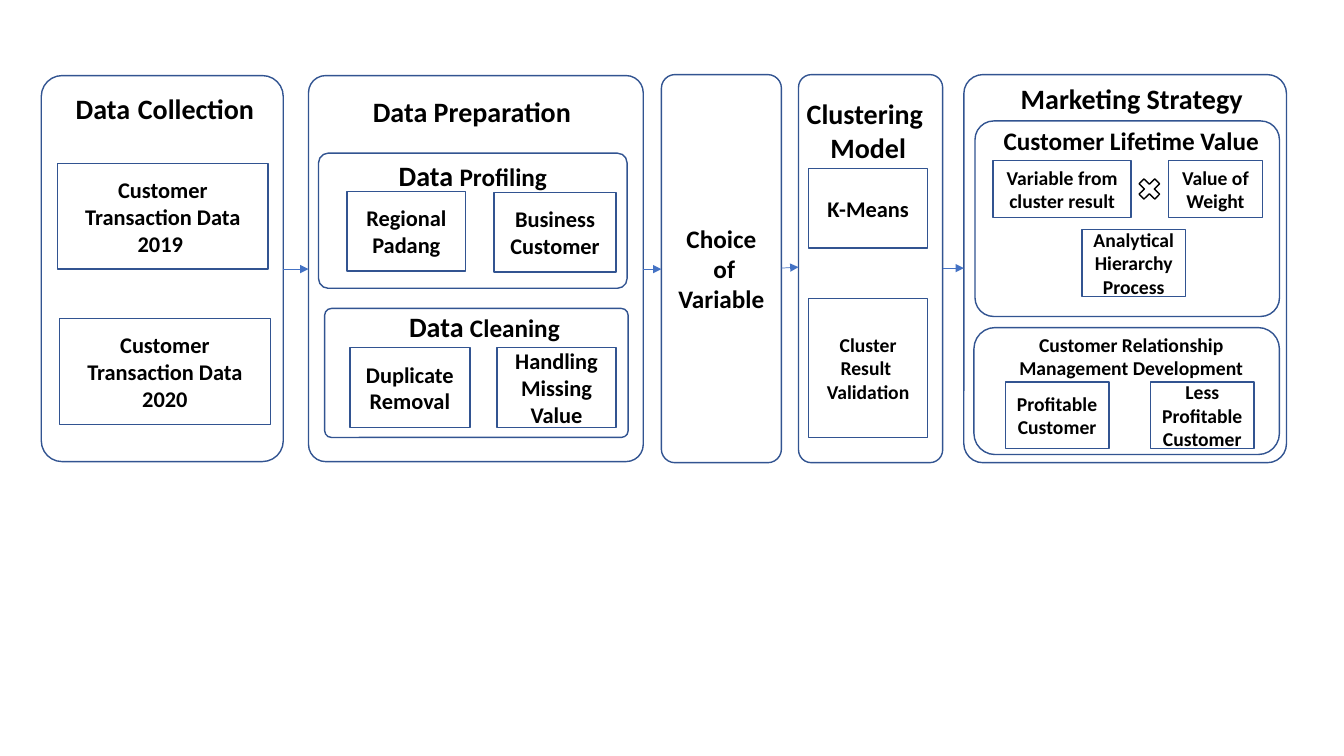
"""Build the customer segmentation research framework slide."""
from pptx import Presentation
from pptx.dml.color import RGBColor
from pptx.enum.shapes import MSO_CONNECTOR as CONN, MSO_SHAPE as SHAPE
from pptx.enum.text import MSO_ANCHOR as ANCHOR, PP_ALIGN as ALIGN
from pptx.oxml.ns import qn
from pptx.util import Inches, Pt
from lxml.etree import SubElement

FONT, INK, BORDER, ARROW = "Calibri", "000000", "325491", "4472C4"

STAGES = [
    (0.41, 0.75, 2.4, 3.83, 0.086),
    (3.06, 0.75, 3.32, 3.83, 0.051),
    (6.56, 0.74, 1.19, 3.85, 0.113),
    (7.92, 0.74, 1.43, 3.85, 0.089),
    (9.56, 0.74, 3.2, 3.85, 0.059),
]
GROUPS = [
    (3.16, 1.52, 3.06, 1.34, 0.071),
    (3.22, 3.06, 3.01, 1.28, 0.052),
    (9.67, 1.2, 3.02, 1.94, 0.096),
    (9.66, 3.25, 3.03, 1.26, 0.167),
]
HEADINGS = [
    (0.59, 0.8, 2.09, 0.5, [("Data", 20), (" ", 24), ("Collection", 20)]),
    (3.22, 0.89, 2.92, 0.44, [("Data Preparation", 20)]),
    (3.16, 1.52, 3.06, 0.44, [("Data ", 20), ("Profiling", 18)]),
    (3.58, 3.02, 2.45, 0.44, [("Data ", 20), ("Cleaning", 18)]),
    (7.65, 0.91, 1.92, 0.8, [("Clustering \vModel", 20)]),
    (10, 0.76, 2.45, 0.44, [("Marketing Strategy", 20)]),
    (9.71, 1.19, 3.02, 0.4, [("Customer Lifetime Value", 18)]),
    (9.71, 3.25, 3.02, 0.57, [("Customer Relationship Management Development", 14)]),
]
BOXES = {
    16: [
        (0.57, 1.62, 2.09, 1.05, "Customer Transaction Data 2019 "),
        (0.59, 3.16, 2.09, 1.05, "Customer Transaction Data 2020"),
        (3.44, 1.9, 1.18, 0.79, "Regional Padang"),
        (4.9, 1.91, 1.21, 0.79, "Business Customer"),
        (3.47, 3.45, 1.19, 0.79, "Duplicate Removal"),
        (4.93, 3.45, 1.18, 0.79, "Handling Missing Value"),
        (8.02, 1.67, 1.18, 0.79, "K-Means"),
    ],
    14: [
        (8.02, 2.96, 1.18, 1.38, "Cluster Result \nValidation"),
        (9.85, 1.59, 1.37, 0.57, "Variable from cluster result"),
        (11.59, 1.59, 0.93, 0.57, "Value of Weight"),
        (10.73, 2.28, 1.03, 0.66, "Analytical Hierarchy Process"),
        (9.97, 3.79, 1.03, 0.66, "Profitable Customer"),
        (11.41, 3.79, 1.03, 0.66, "Less Profitable Customer"),
    ],
}
CHOICE = [("Choice\v of Variable", 18)]
TIMES = (11.25, 1.73, 0.3, 0.29)
ARROW_YS = [(2.67, 2.67), (2.67, 2.67), (2.66, 2.65), (2.66, 2.66)]


def color(value):
    """Turn a hex string into a colour."""
    return RGBColor.from_string(value)


def write(s, runs, anchor=ANCHOR.MIDDLE):
    """Put bold centred runs into a shape; the first may hold breaks."""
    tf = s.text_frame
    tf.word_wrap = True
    tf.vertical_anchor = anchor
    (first, size), *rest = runs
    tf.text = first
    for p in tf.paragraphs:
        p.alignment = ALIGN.CENTER
        for r in p.runs:
            r.font.size = Pt(size)
    for text, size in rest:
        r = p.add_run()
        r.text = text
        r.font.size = Pt(size)
    for r in (r for p in tf.paragraphs for r in p.runs):
        r.font.name, r.font.bold = FONT, True
        r.font.color.rgb = color(INK)


def outline(kind, box, border=BORDER):
    """Add an unfilled preset shape with a thin border."""
    s = shapes.add_shape(kind, *map(Inches, box))
    s.shadow.inherit = False
    s.fill.background()
    s.line.color.rgb = color(border)
    s.line.width = Pt(1)
    return s


def panel(*box, radius):
    """Add a rounded frame."""
    s = outline(SHAPE.ROUNDED_RECTANGLE, box)
    s.adjustments[0] = radius
    return s


def arrow(x1, y1, x2, y2):
    """Add a thin arrow between two stages."""
    s = shapes.add_connector(CONN.STRAIGHT, *map(Inches, (x1, y1, x2, y2)))
    s.line.color.rgb = color(ARROW)
    s.line.width = Pt(0.5)
    SubElement(s.line._get_or_add_ln(), qn("a:tailEnd"), type="triangle")
    SubElement(s._element.spPr, qn("a:effectLst"))


prs = Presentation()
prs.slide_width, prs.slide_height = Inches(13.33), Inches(7.5)
shapes = prs.slides.add_slide(prs.slide_layouts[6]).shapes

frames = [panel(*box, radius=radius) for *box, radius in STAGES + GROUPS]
write(frames[2], CHOICE)

for *box, runs in HEADINGS:
    write(shapes.add_textbox(*map(Inches, box)), runs, ANCHOR.TOP)

for size, boxes in BOXES.items():
    for *box, text in boxes:
        write(outline(SHAPE.RECTANGLE, box), [(text, size)])

outline(SHAPE.MATH_MULTIPLY, TIMES, INK)

for left, right, (y1, y2) in zip(STAGES, STAGES[1:], ARROW_YS):
    arrow(left[0] + left[2], y1, right[0], y2)

prs.save("out.pptx")
